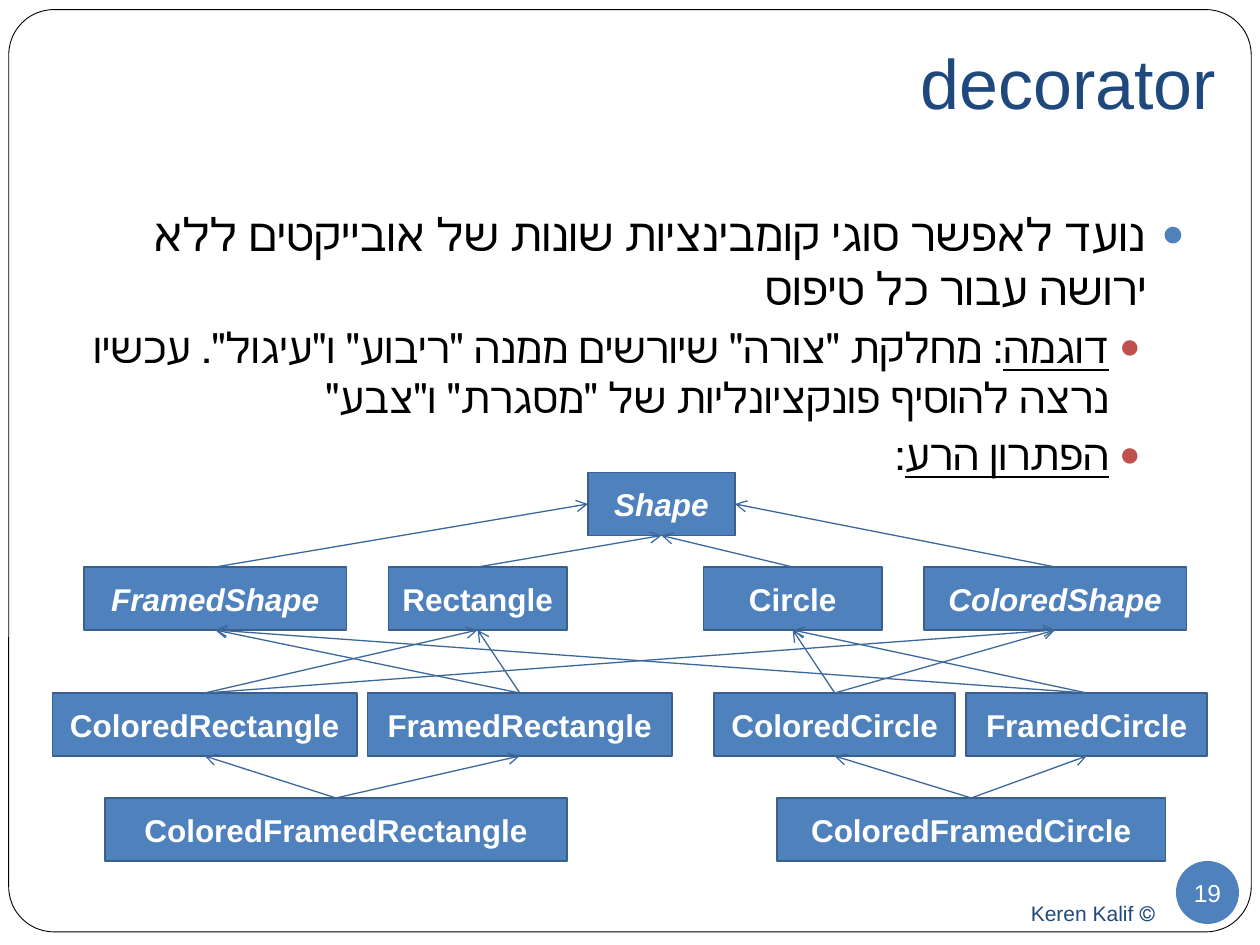
"""Build the decorator class-diagram slide."""
from lxml import etree
from pptx import Presentation
from pptx import util as u
from pptx.dml.color import RGBColor
from pptx.enum import shapes, text
from pptx.oxml.ns import qn

BLUE, NAVY, WHITE, BLACK, RED = "4F81BD", "1F497D", "FFFFFF", "000000", "C0504D"
LEFT, CENTER, RIGHT = text.PP_ALIGN.LEFT, text.PP_ALIGN.CENTER, text.PP_ALIGN.RIGHT
MIDDLE, TOP, BOTTOM = text.MSO_ANCHOR.MIDDLE, text.MSO_ANCHOR.TOP, text.MSO_ANCHOR.BOTTOM
KIND = shapes.MSO_SHAPE


def color(value):
    """Turn a hex string into a colour."""
    return RGBColor.from_string(value)


class Canvas:
    """Hold the style and the current slide."""

    font = "Arial"
    edge = "3A5F8C"
    arrow_color = "3B679C"

    def __init__(self, page):
        """Keep the page to draw on."""
        self.page = page

    def shape(self, kind, area, fill, line=None, weight=1):
        """Add a filled preset shape."""
        item = self.page.shapes.add_shape(kind, *map(u.Pt, area))
        item.shadow.inherit = False
        item.fill.solid()
        item.fill.fore_color.rgb = color(fill)
        if line:
            item.line.color.rgb = color(line)
            item.line.width = u.Pt(weight)
        else:
            item.line.fill.background()
        return item

    def textbox(self, area, anchor=TOP, bottom=3.6):
        """Add a wrapping text box and return its frame."""
        frame = self.page.shapes.add_textbox(*map(u.Pt, area)).text_frame
        frame.word_wrap = True
        frame.vertical_anchor = anchor
        frame.margin_bottom = u.Pt(bottom)
        return frame

    def add_span(self, para, words, size, ink, align, rtl=True, **style):
        """Add one run to a paragraph."""
        para.alignment = align
        if rtl:
            para._p.get_or_add_pPr().set("rtl", "1")
        span = para.add_run()
        span.text = words
        font = span.font
        font.name = self.font
        font.size = u.Pt(size)
        font.color.rgb = color(ink)
        font.bold = style.get("bold")
        font.italic = style.get("italic")
        font.underline = style.get("underline")

    def bullet(self, para, ink, margin, hanging, before):
        """Give a paragraph a coloured bullet and a hanging indent."""
        para.space_before = u.Pt(before)
        props = para._p.get_or_add_pPr()
        props.set("marL", str(u.Pt(margin)))
        props.set("marR", "0")
        props.set("indent", str(-u.Pt(hanging)))
        tint = etree.SubElement(props, qn("a:buClr"))
        etree.SubElement(tint, qn("a:srgbClr"), val=ink)
        etree.SubElement(props, qn("a:buSzPct"), val="85000")
        etree.SubElement(props, qn("a:buFont"), typeface=self.font)
        etree.SubElement(props, qn("a:buChar"), char="●")

    def class_box(self, name, left, top, width, abstract):
        """Add a class box, in italics when abstract."""
        box = self.shape(KIND.RECTANGLE, (left, top, width, 36), BLUE, self.edge)
        frame = box.text_frame
        frame.word_wrap = True
        frame.vertical_anchor = MIDDLE
        self.add_span(frame.paragraphs[0], name, 18, WHITE, CENTER, bold=True, italic=abstract)
        return box

    def arrow(self, child, parent, site):
        """Link the top of a child to a side of its parent."""
        link = self.page.shapes.add_connector(shapes.MSO_CONNECTOR.STRAIGHT, 0, 0, 0, 0)
        link.begin_connect(child, 0)
        link.end_connect(parent, site)
        link.line.color.rgb = color(self.arrow_color)
        link.line.width = u.Pt(0.75)
        etree.SubElement(link.line._get_or_add_ln(), qn("a:tailEnd"), type="arrow")
        etree.SubElement(link._element.spPr, qn("a:effectLst"))


deck = Presentation()
deck.slide_width, deck.slide_height = u.Pt(720), u.Pt(540)
canvas = Canvas(deck.slides.add_slide(deck.slide_layouts[6]))

border = canvas.shape(KIND.ROUNDED_RECTANGLE, (5, 5.5, 710, 527), WHITE, BLACK, 0.5)
border.adjustments[0] = 0.049

title = canvas.textbox((12, 21.6, 690, 56), BOTTOM, 7.2)
canvas.add_span(title.paragraphs[0], "decorator", 40, NAVY, RIGHT)

POINTS = [
    (26, BLUE, 21.6, 21.6, 5.8,
     [("נועד לאפשר סוגי קומבינציות שונות של אובייקטים ללא ירושה עבור כל טיפוס", False)]),
    (24, RED, 43.2, 18, 3.8,
     [("דוגמה", True),
      (': מחלקת "צורה" שיורשים ממנה "ריבוע" ו"עיגול". עכשיו נרצה להוסיף'
       ' פונקציונליות של "מסגרת" ו"צבע"', False)]),
    (24, RED, 43.2, 18, 3.8, [("הפתרון הרע", True), (":", False)]),
]
body = canvas.textbox((24, 114, 660, 360))
for index, (size, ink, margin, hanging, before, spans) in enumerate(POINTS):
    para = body.add_paragraph() if index else body.paragraphs[0]
    canvas.bullet(para, ink, margin, hanging, before)
    for words, underlined in spans:
        canvas.add_span(para, words, size, BLACK, RIGHT, underline=underlined)

footer = canvas.textbox((582, 510, 102, 24), MIDDLE)
canvas.add_span(footer.paragraphs[0], "© Keren Kalif", 12, NAVY, LEFT)

badge = canvas.shape(KIND.OVAL, (672, 492, 36, 36), BLUE).text_frame
badge.margin_left = badge.margin_right = badge.margin_top = badge.margin_bottom = 0
badge.word_wrap = False
badge.vertical_anchor = MIDDLE
canvas.add_span(badge.paragraphs[0], "19", 14, WHITE, CENTER, rtl=False)

ROWS = {
    270: [("Shape", 336, 84)],
    324: [("FramedShape", 48, 150), ("Rectangle", 222, 102),
          ("Circle", 402, 102), ("ColoredShape", 528, 150)],
    396: [("ColoredRectangle", 30, 174), ("FramedRectangle", 210, 174),
          ("ColoredCircle", 408, 138), ("FramedCircle", 552, 138)],
    456: [("ColoredFramedRectangle", 60, 264), ("ColoredFramedCircle", 444, 222)],
}
boxes = {
    name: canvas.class_box(name, left, top, width, name.endswith("Shape"))
    for top, row in ROWS.items() for name, left, width in row
}

SIDE_LEFT, SIDE_BOTTOM, SIDE_RIGHT = 1, 2, 3
canvas.arrow(boxes["FramedShape"], boxes["Shape"], SIDE_LEFT)
canvas.arrow(boxes["ColoredShape"], boxes["Shape"], SIDE_RIGHT)
for figure in ("Rectangle", "Circle"):
    canvas.arrow(boxes[figure], boxes["Shape"], SIDE_BOTTOM)
    for feature in ("Colored", "Framed"):
        mixed = boxes[feature + figure]
        canvas.arrow(mixed, boxes[figure], SIDE_BOTTOM)
        canvas.arrow(mixed, boxes[feature + "Shape"], SIDE_BOTTOM)
        canvas.arrow(boxes["ColoredFramed" + figure], mixed, SIDE_BOTTOM)

deck.save("out.pptx")
